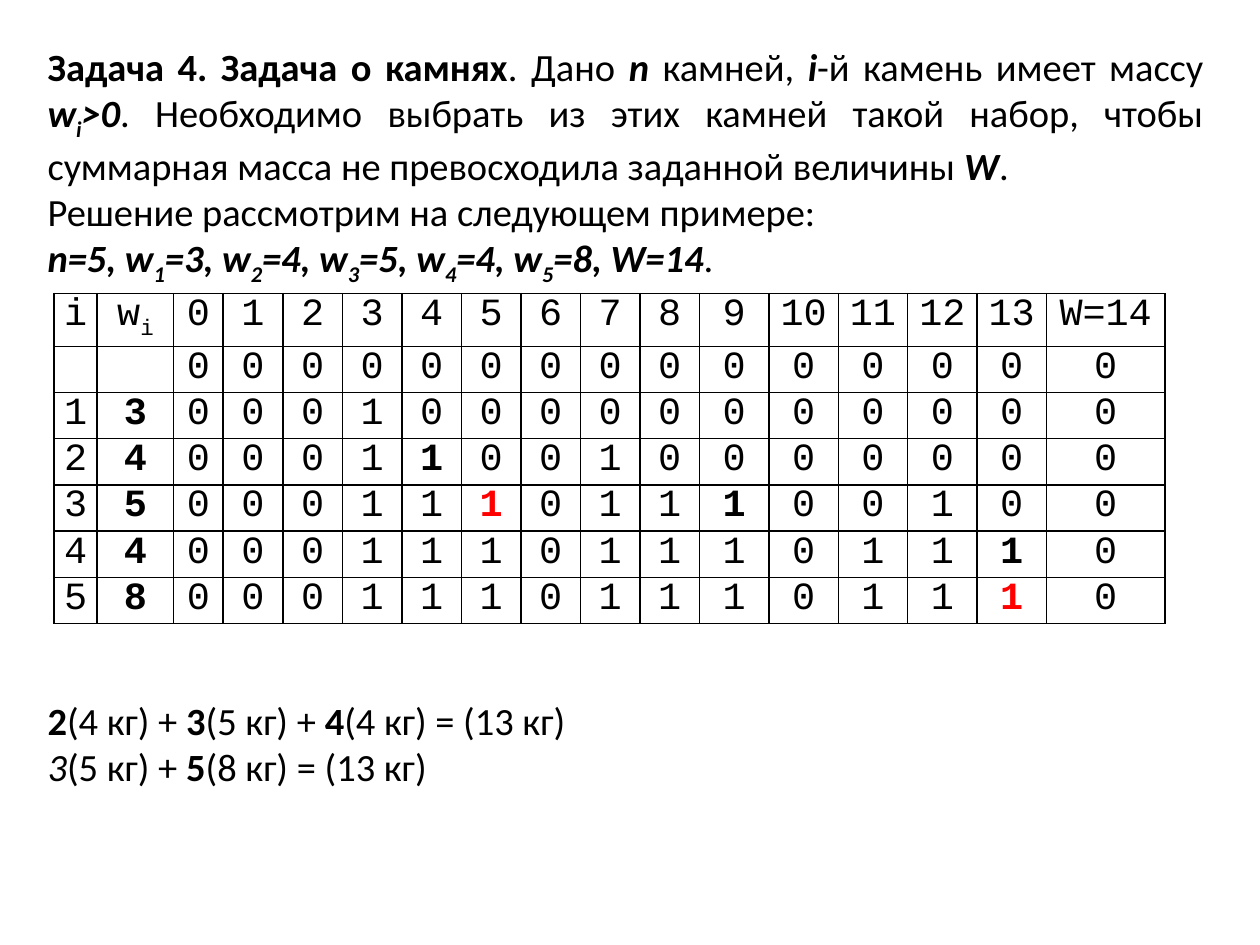
from dataclasses import dataclass

from lxml.etree import SubElement
from pptx import Presentation
from pptx.dml.color import RGBColor
from pptx.enum.text import MSO_AUTO_SIZE as AutoSize, PP_ALIGN as Align
from pptx.oxml.ns import qn
from pptx.util import Cm, Pt


@dataclass(frozen=True)
class Theme:
    text: str = "000000"
    accent: str = "FF0000"
    body_font: str = "Calibri"
    table_font: str = "Courier New"
    size: int = 22
    cell_spacing: int = 2
    border: int = 1


THEME = Theme()

PLAIN, BOLD, ITALIC = {}, {"bold": True}, {"italic": True}
SYMBOL = BOLD | ITALIC
INDEX = SYMBOL | {"subscript": True}
RED = BOLD | {"color": THEME.accent}

WEIGHTS = [3, 4, 5, 4, 8]
CAPACITY = 14

example = [("n=5", SYMBOL)]
for number, weight in enumerate(WEIGHTS, 1):
    example += [(", w", SYMBOL), (str(number), INDEX), (f"={weight}", SYMBOL)]
example += [(f", W={CAPACITY}", SYMBOL), (".", PLAIN)]

PROBLEM = [
    [("Задача 4. Задача о камнях", BOLD), (". Дано ", PLAIN), ("n", SYMBOL),
     (" камней, ", PLAIN), ("i", SYMBOL), ("-й камень имеет массу ", PLAIN),
     ("w", SYMBOL), ("i", INDEX), (">0", SYMBOL),
     (". Необходимо выбрать из этих камней такой набор, чтобы суммарная масса "
      "не превосходила заданной величины ", PLAIN), ("W", SYMBOL), (".", PLAIN)],
    [("Решение рассмотрим на следующем примере:", PLAIN)],
    example,
]
ANSWERS = [
    [("2", BOLD), ("(4 кг) + ", PLAIN), ("3", BOLD), ("(5 кг) + ", PLAIN),
     ("4", BOLD), ("(4 кг) = (13 кг)", PLAIN)],
    [("3", ITALIC), ("(5 кг) + ", PLAIN), ("5", BOLD), ("(8 кг) = (13 кг)", PLAIN)],
]
REACHABLE = [
    "000000000000000",
    "000100000000000",
    "000110010000000",
    "000111011100100",
    "000111011101110",
    "000111011101110",
]
HIGHLIGHTS = {(3, 6): BOLD, (4, 7): RED, (4, 11): BOLD, (5, 15): BOLD, (6, 15): RED}

TEXT_LEFT, TEXT_WIDTH = 0.71, 23.8
TABLE_LEFT, TABLE_TOP = 1.09, 5.92
COLUMN_WIDTHS = [0.87, 1.54, 1] + [1.2] * 8 + [1.4] * 5 + [2.39]
ROW_HEIGHTS = [0.79] + [0.85] * len(REACHABLE)


def add_text(paragraph, text, font=THEME.body_font, color=THEME.text,
             bold=False, italic=False, subscript=False):
    run = paragraph.add_run()
    run.text = text
    run.font.name, run.font.size = font, Pt(THEME.size)
    run.font.bold, run.font.italic = bold, italic
    run.font.color.rgb = RGBColor.from_string(color)
    if subscript:
        run._r.get_or_add_rPr().set("baseline", "-25000")


def add_text_box(slide, top, height, paragraphs, first_alignment=Align.LEFT):
    shape = slide.shapes.add_textbox(Cm(TEXT_LEFT), Cm(top), Cm(TEXT_WIDTH), Cm(height))
    frame = shape.text_frame
    frame.word_wrap = True
    frame.auto_size = AutoSize.SHAPE_TO_FIT_TEXT
    for position, runs in enumerate(paragraphs):
        paragraph = frame.add_paragraph() if position else frame.paragraphs[0]
        paragraph.alignment = Align.LEFT if position else first_alignment
        for text, style in runs:
            add_text(paragraph, text, **style)


def add_borders(cell):
    properties = cell._tc.get_or_add_tcPr()
    for side in ("a:lnL", "a:lnR", "a:lnT", "a:lnB"):
        line = SubElement(properties, qn(side), w=str(Pt(THEME.border)))
        fill = SubElement(line, qn("a:solidFill"))
        SubElement(fill, qn("a:srgbClr"), val=THEME.text)


def fill_cell(cell, runs):
    add_borders(cell)
    cell.fill.background()
    cell.margin_left = cell.margin_right = Cm(0.18)
    cell.margin_top = cell.margin_bottom = 0
    paragraph = cell.text_frame.paragraphs[0]
    paragraph.alignment = Align.CENTER
    paragraph.space_before = paragraph.space_after = Pt(THEME.cell_spacing)
    for text, style in runs:
        add_text(paragraph, text, font=THEME.table_font, **style)


def table_rows():
    sums = [str(total) for total in range(CAPACITY)] + [f"W={CAPACITY}"]
    yield [[("i", PLAIN)], [("w", PLAIN), ("i", {"subscript": True})],
           *([(label, PLAIN)] for label in sums)]
    for number, flags in enumerate(REACHABLE):
        stone = ([[(str(number), PLAIN)], [(str(WEIGHTS[number - 1]), BOLD)]]
                 if number else [[], []])
        yield stone + [[(flag, HIGHLIGHTS.get((number + 1, column), PLAIN))]
                       for column, flag in enumerate(flags, 2)]


def add_reachability_table(slide):
    table = slide.shapes.add_table(
        len(ROW_HEIGHTS), len(COLUMN_WIDTHS), Cm(TABLE_LEFT), Cm(TABLE_TOP),
        Cm(sum(COLUMN_WIDTHS)), Cm(sum(ROW_HEIGHTS))).table
    table.first_row = table.horz_banding = False
    for column, width in zip(table.columns, COLUMN_WIDTHS):
        column.width = Cm(width)
    for row, height, contents in zip(table.rows, ROW_HEIGHTS, table_rows()):
        row.height = Cm(height)
        for cell, runs in zip(row.cells, contents):
            fill_cell(cell, runs)


def main():
    presentation = Presentation()
    presentation.slide_width, presentation.slide_height = Cm(25.4), Cm(19.05)
    slide = presentation.slides.add_slide(presentation.slide_layouts[6])
    add_text_box(slide, 0.74, 4.95, PROBLEM, first_alignment=Align.JUSTIFY)
    add_reachability_table(slide)
    add_text_box(slide, 13.92, 2.13, ANSWERS)
    presentation.save("out.pptx")


if __name__ == "__main__":
    main()
